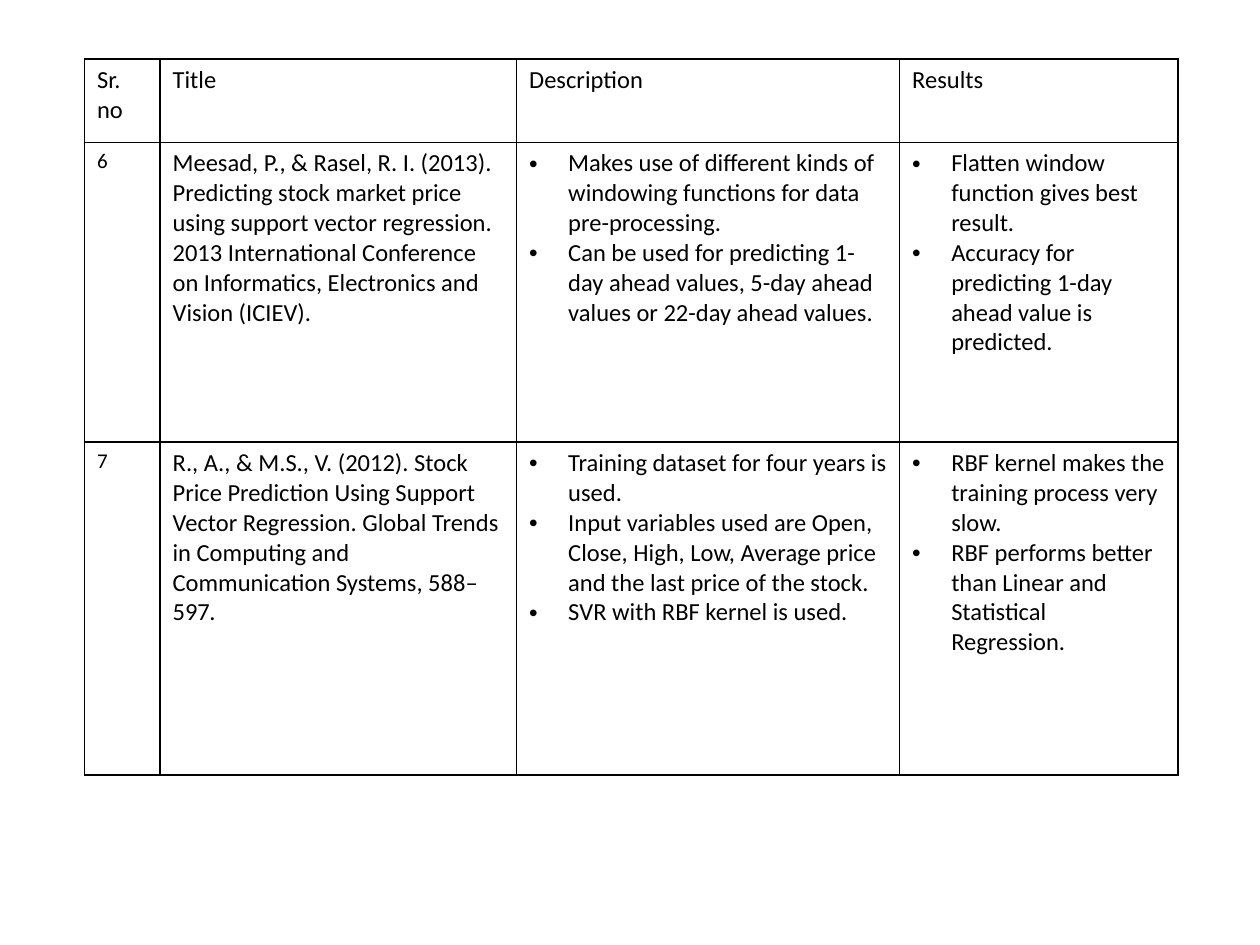
"""Build a slide with a table of literature on stock price prediction."""
from dataclasses import dataclass

from lxml.etree import SubElement
from pptx import Presentation
from pptx.dml.color import RGBColor as Rgb
from pptx.enum.text import PP_ALIGN as Align
from pptx.oxml.ns import qn
from pptx.util import Inches, Pt

HUES = {"ink": "000000", "paper": "FFFFFF"}
FONT = "Calibri"
INDENT = Inches(0.31)
COLS = [0.6, 2.83, 3.04, 2.21]
ROWS = [0.66, 2.38, 2.64]


@dataclass
class Run:
    text: str
    italic: bool = False


@dataclass
class Entry:
    paras: list[list[Run]]
    size: int = 14
    align: Align | None = None
    bullet: bool = False


def plain(text: str, size: int = 14, align: Align | None = None) -> Entry:
    return Entry([[Run(text)]], size, align)


def points(*texts: str) -> Entry:
    return Entry([[Run(text)] for text in texts], bullet=True)


GRID = [
    [plain("Sr. no"), plain("Title", align=Align.JUSTIFY),
     plain("Description"), plain("Results")],
    [
        plain("6", 12, Align.JUSTIFY),
        plain("Meesad, P., & Rasel, R. I. (2013). Predicting stock market price "
              "using support vector regression. 2013 International Conference on "
              "Informatics, Electronics and Vision (ICIEV)."),
        points("Makes use of different kinds of windowing functions for data "
               "pre-processing.",
               "Can be used for predicting 1-day ahead values, 5-day ahead values "
               "or 22-day ahead values."),
        points("Flatten window function gives best result.",
               "Accuracy for predicting 1-day ahead value is predicted."),
    ],
    [
        plain("7", 12, Align.JUSTIFY),
        Entry([[Run("R., A., & M.S., V. (2012). Stock Price Prediction Using Support "
                    "Vector Regression. Global Trends in Computing and "
                    "Communication Systems, 588–597"),
                Run(".", italic=True)]]),
        points("Training dataset for four years is used.",
               "Input variables used are Open, Close, High, Low, Average price and "
               "the last price of the stock.",
               "SVR with RBF kernel is used."),
        points("RBF kernel makes the training process very slow.",
               "RBF performs better than Linear and Statistical Regression."),
    ],
]


def add_bullet(para) -> None:
    props = para._p.get_or_add_pPr()
    props.set("marL", str(INDENT))
    props.set("indent", str(-INDENT))
    SubElement(props, qn("a:buFont"), typeface="Arial")
    SubElement(props, qn("a:buChar"), char="•")


def add_border(cell) -> None:
    props = cell._tc.get_or_add_tcPr()
    for side in ("lnL", "lnR", "lnT", "lnB"):
        line = SubElement(props, qn(f"a:{side}"), w=str(Pt(1)))
        fill = SubElement(line, qn("a:solidFill"))
        SubElement(fill, qn("a:srgbClr"), val=HUES["ink"])


def fill_cell(cell, entry: Entry) -> None:
    add_border(cell)
    cell.fill.solid()
    cell.fill.fore_color.rgb = Rgb.from_string(HUES["paper"])
    frame = cell.text_frame
    for i, runs in enumerate(entry.paras):
        para = frame.add_paragraph() if i else frame.paragraphs[0]
        if entry.align is not None:
            para.alignment = entry.align
        if entry.bullet:
            add_bullet(para)
        for item in runs:
            run = para.add_run()
            run.text = item.text
            font = run.font
            font.name, font.size = FONT, Pt(entry.size)
            font.bold, font.italic = False, item.italic
            font.color.rgb = Rgb.from_string(HUES["ink"])


def add_grid(slide) -> None:
    frame = slide.shapes.add_table(
        len(ROWS), len(COLS), Inches(0.67), Inches(0.47),
        Inches(sum(COLS)), Inches(sum(ROWS)))
    table = frame.table
    table.first_row = table.horz_banding = False
    for col, width in zip(table.columns, COLS):
        col.width = Inches(width)
    for row, height, entries in zip(table.rows, ROWS, GRID):
        row.height = Inches(height)
        for cell, entry in zip(row.cells, entries):
            fill_cell(cell, entry)


def main() -> None:
    deck = Presentation()
    deck.slide_width, deck.slide_height = Inches(10), Inches(7.5)
    add_grid(deck.slides.add_slide(deck.slide_layouts[6]))
    deck.save("out.pptx")


if __name__ == "__main__":
    main()
